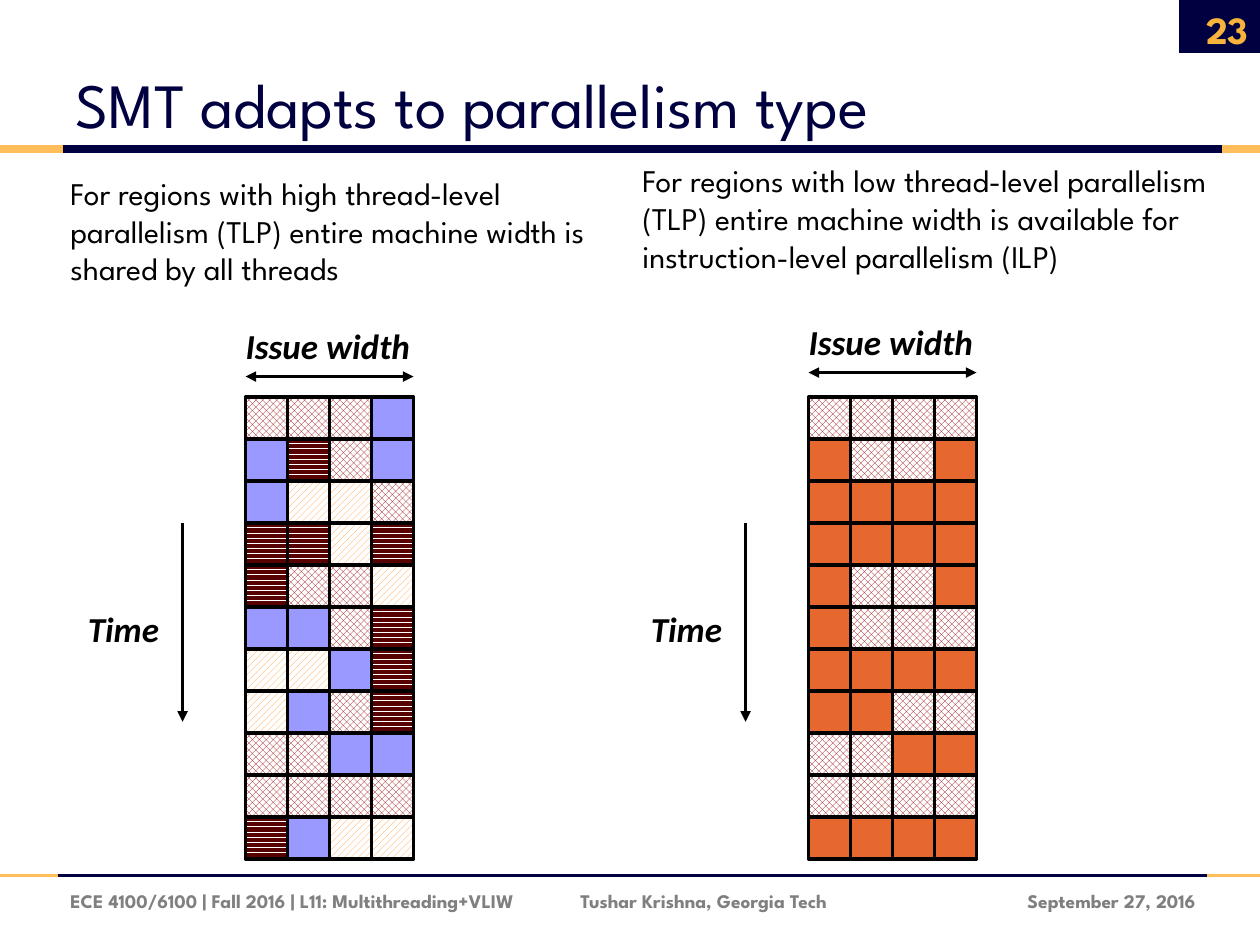
import pptx
import pptx.util
import pptx.dml.color
import pptx.oxml
import pptx.oxml.ns
from pptx.enum.dml import MSO_PATTERN
from pptx.enum.shapes import MSO_CONNECTOR, MSO_SHAPE
from pptx.enum.text import MSO_ANCHOR, MSO_AUTO_SIZE, PP_ALIGN

Cm = pptx.util.Cm
Pt = pptx.util.Pt

NAVY, GOLD, BLACK = "000041", "FFBE5A", "000000"
SPARTAN = "League Spartan"

# Issue-slot grid: one letter per slot, one word per cycle
CELL = 2.54 / 3
GRID_TOP = 8
FILLS = {
    "d": (MSO_PATTERN.SOLID_DIAMOND, "990000"),
    "h": (MSO_PATTERN.DARK_HORIZONTAL, "580101"),
    "u": (MSO_PATTERN.WIDE_UPWARD_DIAGONAL, "FF9933"),
    "b": (None, "9999FF"),
    "o": (None, "E6682E"),
}
HIGH_TLP = "dddb bhdb buud hhuh hddu bbdh uubh ubdh ddbb dddd hbuu".split()
LOW_TLP = "dddd oddo oooo oooo oddo oddd oooo oodd ddoo dddd oooo".split()


def rgb(color):
    return pptx.dml.color.RGBColor.from_string(color)


def add_text(s, x, y, w, h, text, size, color, font=SPARTAN, bold=False,
             italic=False, align=PP_ALIGN.LEFT, anchor=MSO_ANCHOR.TOP, wrap=True):
    tf = s.shapes.add_textbox(Cm(x), Cm(y), Cm(w), Cm(h)).text_frame
    tf.word_wrap = wrap
    tf.auto_size = MSO_AUTO_SIZE.NONE if wrap else MSO_AUTO_SIZE.SHAPE_TO_FIT_TEXT
    tf.vertical_anchor = anchor
    p = tf.paragraphs[0]
    p.alignment = align
    r = p.add_run()
    r.text = text
    r.font.size = Pt(size)
    r.font.name = font
    r.font.bold = bold
    r.font.italic = italic
    r.font.color.rgb = rgb(color)
    return p


def add_tab_stop(p, x):
    tabs = pptx.oxml.parse_xml(
        f'<a:tabLst {pptx.oxml.ns.nsdecls("a")}><a:tab pos="{Cm(x)}" algn="l"/></a:tabLst>')
    p._p.get_or_add_pPr().append(tabs)


def add_line(s, x1, y1, x2, y2, color, width, arrows=()):
    """arrows holds "headEnd" and/or "tailEnd", in that order."""
    line = s.shapes.add_connector(MSO_CONNECTOR.STRAIGHT, Cm(x1), Cm(y1), Cm(x2), Cm(y2))
    line.line.color.rgb = rgb(color)
    line.line.width = Pt(width)
    ns = pptx.oxml.ns.nsdecls("a")
    for end in arrows:
        line.line._get_or_add_ln().append(
            pptx.oxml.parse_xml(f'<a:{end} {ns} type="triangle"/>'))
    line._element.spPr.append(pptx.oxml.parse_xml(f"<a:effectLst {ns}/>"))


def add_rect(shapes, x, y, w, h, color, pattern=None, outline=None):
    sp = shapes.add_shape(MSO_SHAPE.RECTANGLE, Cm(x), Cm(y), Cm(w), Cm(h))
    sp.shadow.inherit = False
    if pattern is None:
        sp.fill.solid()
    else:
        sp.fill.patterned()
        sp.fill.pattern = pattern
        sp.fill.back_color.rgb = rgb("FFFFFF")
    sp.fill.fore_color.rgb = rgb(color)
    if outline is None:
        sp.line.fill.background()
    else:
        sp.line.color.rgb = rgb(outline)
        sp.line.width = Pt(2)


def add_rule(s, y, left, right, width):
    """Full-width rule: navy between left and right, gold at both ends."""
    for x1, x2, color in ((left, right, NAVY), (0, left, GOLD), (right, 25.4, GOLD)):
        add_line(s, x1, y, x2, y, color, width)


def add_schedule(s, left, rows, arrow_y):
    """Grid of issue slots with its width and time arrows."""
    grid = s.shapes.add_group_shape()
    for i, row in enumerate(rows):
        for j, thread in enumerate(row):
            pattern, color = FILLS[thread]
            add_rect(grid.shapes, left + j * CELL, GRID_TOP + i * CELL, CELL, CELL,
                     color, pattern, BLACK)

    label = dict(size=20, color=BLACK, font="Calibri", bold=True, italic=True, wrap=False)
    add_line(s, left, arrow_y, left + 4 * CELL, arrow_y, BLACK, 2, ("headEnd", "tailEnd"))
    add_text(s, left - 0.25, arrow_y - 1.17, 4.04, 1.12, "Issue width", **label)
    add_line(s, left - 1.27, 10.54, left - 1.27, 14.55, BLACK, 2, ("tailEnd",))
    add_text(s, left - 3.43, 12.12, 2.13, 1.12, "Time", **label)


def main():
    prs = pptx.Presentation()
    prs.slide_width, prs.slide_height = Cm(25.4), Cm(19.05)
    s = prs.slides.add_slide(prs.slide_layouts[6])

    # Frame
    add_rect(s.shapes, 23.77, 0, 1.73, 1.07, NAVY)
    add_rule(s, 17.65, 1.17, 24.33, 2.25)
    add_rule(s, 3, 1.27, 24.64, 4.5)

    # Title
    add_text(s, 1.27, 0.43, 20.78, 2.54, "SMT adapts to parallelism type", 36, NAVY,
             anchor=MSO_ANCHOR.BOTTOM)

    # Footer and slide number
    small = dict(bold=True, anchor=MSO_ANCHOR.MIDDLE)
    add_text(s, 19.48, 17.65, 4.88, 1.02, "September 27, 2016", 11, "7F7F7F",
             align=PP_ALIGN.RIGHT, **small)
    p = add_text(s, 1.17, 17.65, 18.87, 1.02,
                 "ECE 4100/6100 | Fall 2016 | L11: Multithreading+VLIW\t"
                 "Tushar Krishna, Georgia Tech", 11, "808080", **small)
    add_tab_stop(p, 10.28)
    add_text(s, 23.72, 0.08, 1.7, 1.02, "23", 22, "F8B33C", align=PP_ALIGN.RIGHT, **small)

    # High thread-level parallelism
    add_text(s, 1.17, 3.38, 10.9, 2.9,
             "For regions with high thread-level parallelism (TLP) entire machine width "
             "is shared by all threads", 18, BLACK)
    add_schedule(s, 4.95, HIGH_TLP, 7.59)

    # Low thread-level parallelism
    add_text(s, 12.7, 3.12, 12.01, 2.9,
             "For regions with low thread-level parallelism (TLP) entire machine width "
             "is available for instruction-level parallelism (ILP)", 18, BLACK)
    add_schedule(s, 16.3, LOW_TLP, 7.51)

    prs.save("out.pptx")


if __name__ == "__main__":
    main()
